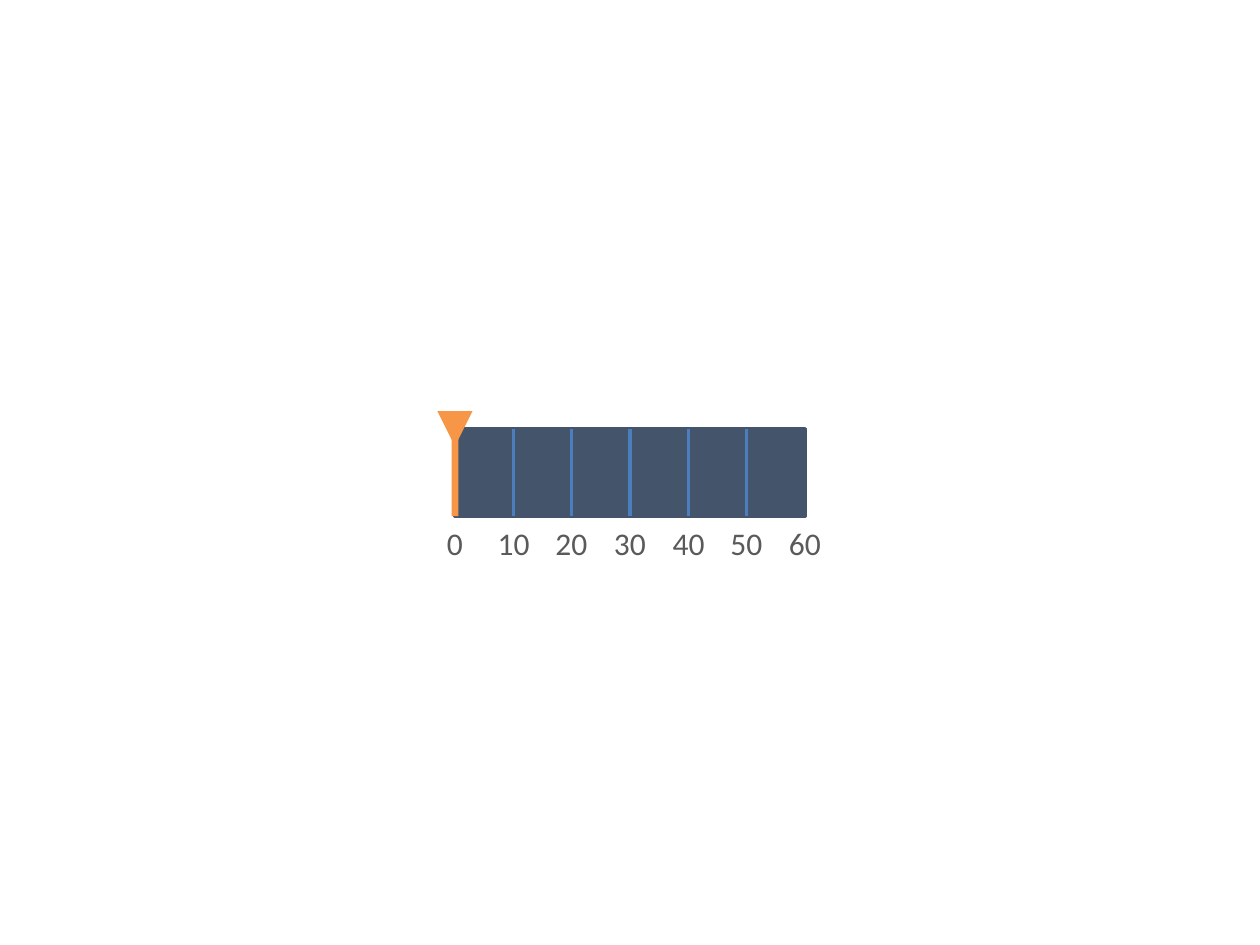
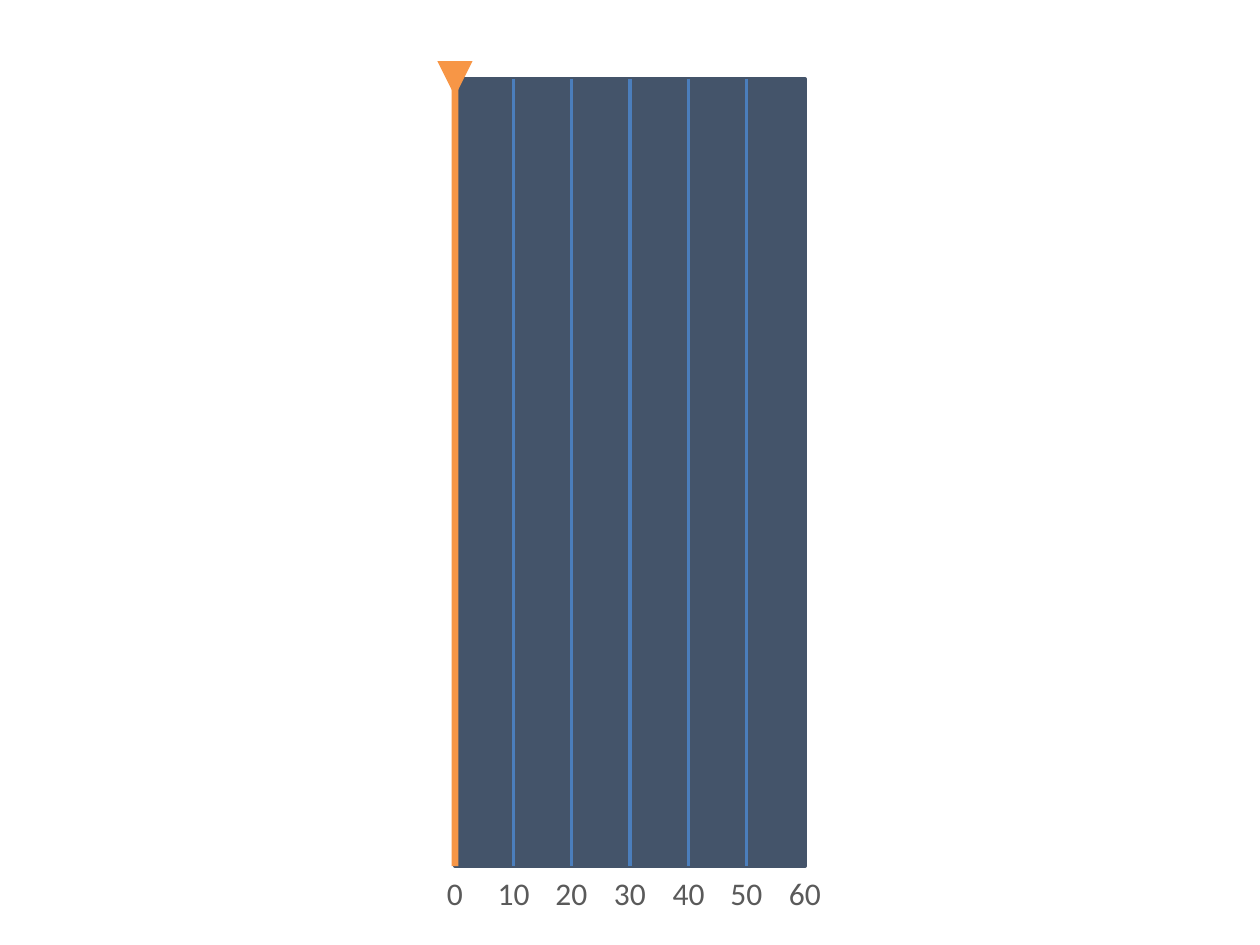
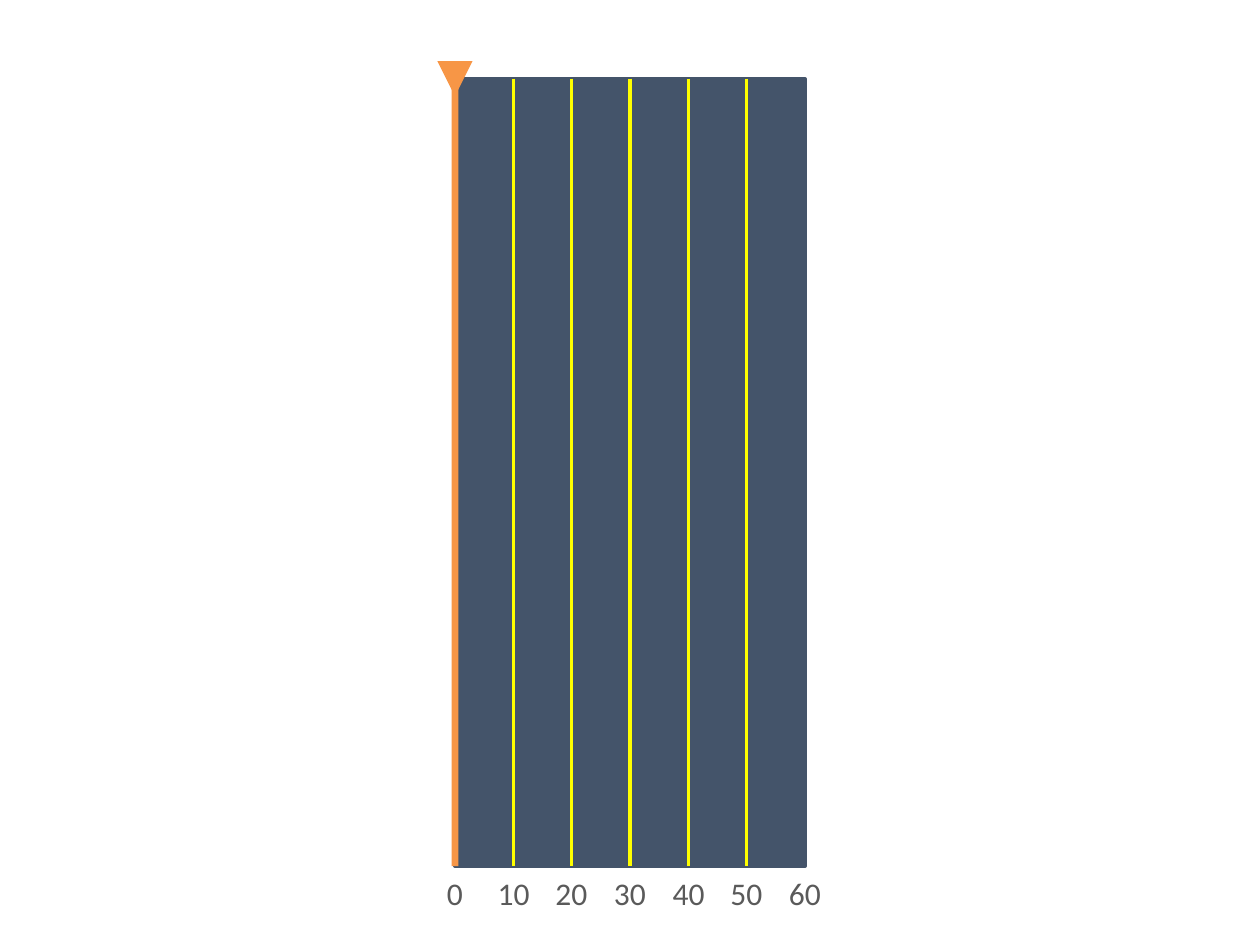
from pptx import Presentation
from pptx.dml.color import RGBColor
from pptx.enum.shapes import MSO_CONNECTOR, MSO_SHAPE
from pptx.enum.text import MSO_ANCHOR as ANCHOR, PP_ALIGN as ALIGN
from pptx.oxml.ns import qn
from pptx.util import Pt
from lxml.etree import SubElement

PX = 6350  # 144 px to the inch
COLORS = {
    "bar": "44546A",
    "blue tick": "4B7EBC",
    "yellow tick": "FFFF00",
    "label": "5A5A5A",
    "marker": "F79646",
}
FRAME = {
    "word_wrap": False,
    "vertical_anchor": ANCHOR.MIDDLE,
    "margin_left": 0,
    "margin_right": 0,
    "margin_top": 0,
    "margin_bottom": 0,
}
LABEL_FONT = {"name": "Calibri", "size": Pt(18)}

# Scale shared by every slide
BAR_LEFT, BAR_WIDTH = 520, 400
STEPS, STEP_VALUE = 6, 10
LABEL_WIDTH, LABEL_HEIGHT = 40, 60
MARKER_SIZE, NEEDLE_WIDTH = 40, 8

# Bar top, bar height and tick colour of each slide
GAUGES = [
    (490, 100, "blue tick"),
    (90, 900, "blue tick"),
    (90, 900, "yellow tick"),
]


def rgb(name):
    return RGBColor.from_string(COLORS[name])


def add_block(page, kind, left, top, width, height, color):
    block = page.shapes.add_shape(kind, left * PX, top * PX, width * PX, height * PX)
    block.shadow.inherit = False
    block.fill.solid()
    block.fill.fore_color.rgb = rgb(color)
    block.line.fill.background()
    return block


deck = Presentation()
deck.slide_width, deck.slide_height = 1440 * PX, 1080 * PX

for top, height, tick_color in GAUGES:
    page = deck.slides.add_slide(deck.slide_layouts[6])
    bottom = top + height

    # Bar
    bar = add_block(page, MSO_SHAPE.RECTANGLE, BAR_LEFT, top, BAR_WIDTH, height, "bar")
    bar.line.color.rgb = rgb("bar")
    bar.line.width = Pt(2)

    # Ticks inside the bar, labels below it
    ticks = page.shapes.add_group_shape()
    labels = page.shapes.add_group_shape()
    for step in range(STEPS + 1):
        x = round(BAR_LEFT + step * BAR_WIDTH / STEPS)
        if 0 < step < STEPS:
            tick = ticks.shapes.add_connector(
                MSO_CONNECTOR.STRAIGHT, x * PX, top * PX, x * PX, bottom * PX)
            tick.line.color.rgb = rgb(tick_color)
            tick.line.width = Pt(2)
            SubElement(tick._element.spPr, qn("a:effectLst"))

        box = labels.shapes.add_textbox((x - LABEL_WIDTH // 2) * PX, bottom * PX,
                                        LABEL_WIDTH * PX, LABEL_HEIGHT * PX)
        for key, value in FRAME.items():
            setattr(box.text_frame, key, value)
        para = box.text_frame.paragraphs[0]
        para.alignment = ALIGN.CENTER
        span = para.add_run()
        span.text = str(step * STEP_VALUE)
        for key, value in LABEL_FONT.items():
            setattr(span.font, key, value)
        span.font.color.rgb = rgb("label")

    # Marker at zero: pointer and needle
    pointer = add_block(page, MSO_SHAPE.ISOSCELES_TRIANGLE, BAR_LEFT - MARKER_SIZE // 2,
                        top - MARKER_SIZE // 2, MARKER_SIZE, MARKER_SIZE, "marker")
    pointer.rotation = 180
    add_block(page, MSO_SHAPE.RECTANGLE, BAR_LEFT - NEEDLE_WIDTH // 2, top,
              NEEDLE_WIDTH, height, "marker")

deck.save("out.pptx")
